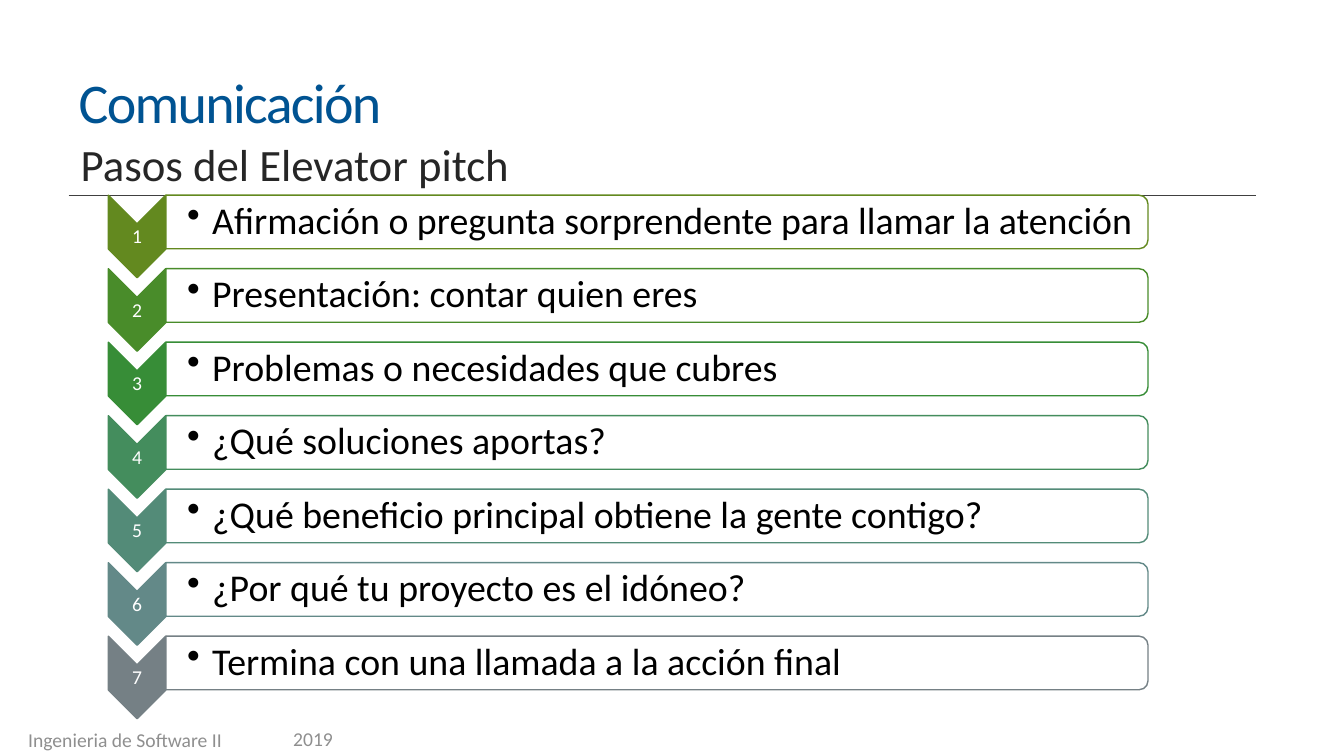
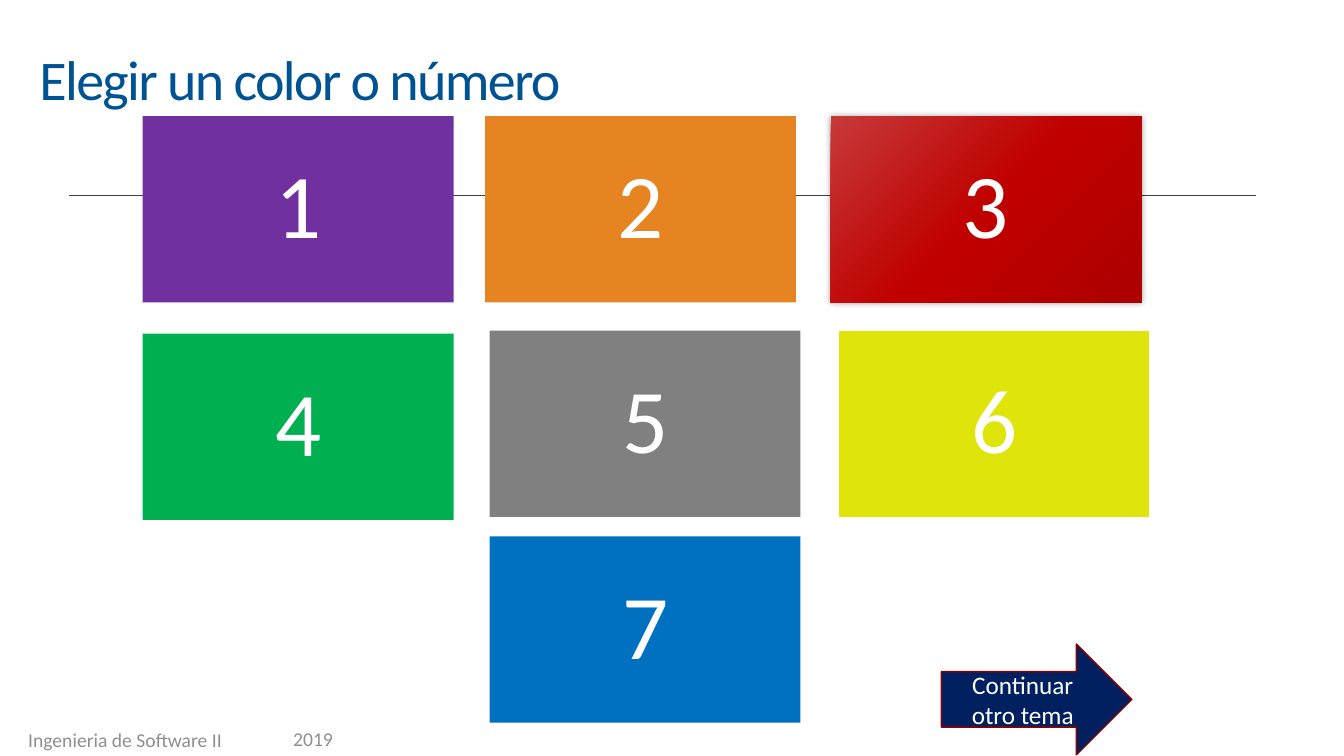
from copy import deepcopy

from pptx import Presentation
from pptx.dml.color import RGBColor
from pptx.enum import shapes, text
from pptx.oxml import ns, xmlchemy
from pptx.util import Pt

FONT = "Calibri"
WHITE = RGBColor(0xFF, 0xFF, 0xFF)
BLACK = RGBColor(0, 0, 0)
TITLE_BLUE = RGBColor(0x00, 0x53, 0x92)
DARK = RGBColor(0x26, 0x26, 0x26)
RULE_GRAY = RGBColor(0x40, 0x40, 0x40)
FOOTER_GRAY = RGBColor(0x8F, 0x8F, 0x8F)
PURPLE = RGBColor(0x70, 0x30, 0xA0)
ORANGE = RGBColor(0xE6, 0x84, 0x22)
RED = RGBColor(0xC0, 0x00, 0x00)
LIGHT_RED = RGBColor(0xC6, 0x39, 0x39)
DEEP_RED = RGBColor(0xAD, 0x00, 0x00)
GREEN = RGBColor(0x00, 0xB0, 0x50)
GRAY = RGBColor(0x80, 0x80, 0x80)
YELLOW = RGBColor(0xDF, 0xE4, 0x0A)
BLUE = RGBColor(0x00, 0x70, 0xC0)
NAVY = RGBColor(0x00, 0x20, 0x60)
MAROON = RGBColor(0x8E, 0x00, 0x00)

STEPS = [
    ("Afirmación o pregunta sorprendente para llamar la atención", RGBColor(0x63, 0x89, 0x1F)),
    ("Presentación: contar quien eres", RGBColor(0x49, 0x8C, 0x2A)),
    ("Problemas o necesidades que cubres", RGBColor(0x37, 0x8D, 0x37)),
    ("¿Qué soluciones aportas?", RGBColor(0x44, 0x8D, 0x5D)),
    ("¿Qué beneficio principal obtiene la gente contigo?", RGBColor(0x53, 0x8B, 0x78)),
    ("¿Por qué tu proyecto es el idóneo?", RGBColor(0x63, 0x89, 0x88)),
    ("Termina con una llamada a la acción final", RGBColor(0x75, 0x80, 0x85)),
]
STEP_TOP, STEP_PITCH = 139.4, 52.5

TILES = [
    (102, 83, PURPLE),
    (346.5, 83, ORANGE),
    (593.3, 83, RED),
    (102, 238.3, GREEN),
    (349.8, 236.2, GRAY),
    (599.2, 236.4, YELLOW),
    (349.8, 383.2, BLUE),
]


def place(shape, left, top, width, height):
    shape.left, shape.top, shape.width, shape.height = map(Pt, (left, top, width, height))


def append_xml(parent, tag, **attributes):
    child = xmlchemy.OxmlElement(tag)
    for name, value in attributes.items():
        child.set(name, str(value))
    parent.append(child)
    return child


def write(shape, words, size, color, align=text.PP_ALIGN.LEFT,
          anchor=text.MSO_ANCHOR.TOP, spacing=1.0, insets=(7.2, 3.6, 7.2, 3.6)):
    """Fill a shape with one formatted paragraph and return that paragraph."""
    frame = shape.text_frame
    frame.text = words
    frame.word_wrap = True
    frame.auto_size = text.MSO_AUTO_SIZE.NONE
    frame.vertical_anchor = anchor
    (frame.margin_left, frame.margin_top,
     frame.margin_right, frame.margin_bottom) = map(Pt, insets)
    para = frame.paragraphs[0]
    para.alignment = align
    para.line_spacing = spacing
    para.space_before = Pt(0)
    para.font.name, para.font.size = FONT, Pt(size)
    para.font.color.rgb = color
    return para


def set_bullet(para, indent=0, mark=None):
    properties = para._p.get_or_add_pPr()
    properties.set("marL", str(Pt(indent)))
    properties.set("indent", str(-Pt(indent)))
    if mark:
        append_xml(properties, "a:buChar", char=mark)
    else:
        append_xml(properties, "a:buNone")


def add_text(page, words, at, size, color, **style):
    box = page.shapes.add_textbox(*map(Pt, at))
    return write(box, words, size, color, **style)


def add_block(page, kind, at, fill, line=None, weight=1):
    block = page.shapes.add_shape(kind, *map(Pt, at))
    block.shadow.inherit = False
    block.fill.solid()
    block.fill.fore_color.rgb = fill
    if line is None:
        block.line.fill.background()
    else:
        block.line.color.rgb = line
        block.line.width = Pt(weight)
    return block


def add_turned_block(page, kind, at, fill, line):
    """Add a shape turned a quarter clockwise that covers the given area."""
    left, top, width, height = at
    shift = (width - height) / 2
    block = add_block(page, kind, (left + shift, top - shift, height, width), fill, line)
    block.rotation = 90
    return block


def add_page(deck, layout, title, left, top):
    """Add a slide with the shared title style, rule and footers."""
    page = deck.slides.add_slide(deck.slide_layouts[layout])
    rule = page.shapes.add_connector(
        shapes.MSO_CONNECTOR.STRAIGHT, Pt(49), Pt(139.5), Pt(897), Pt(139.5))
    rule.line.color.rgb = RULE_GRAY
    rule.line.width = Pt(0.75)
    append_xml(rule._element.spPr, "a:effectLst")
    add_text(page, "Ingenieria de Software II", (13, 516.2, 170, 17), 14, FOOTER_GRAY)
    add_text(page, "2019", (202.3, 515.5, 65, 20), 14, FOOTER_GRAY)
    heading = page.shapes.title
    place(heading, left, top, 851, 100)
    para = write(heading, title, 40, TITLE_BLUE,
                 anchor=text.MSO_ANCHOR.MIDDLE, spacing=0.85)
    para.runs[0].font._element.set("spc", "-120")
    return page


def add_step(page, number, words, color):
    top = STEP_TOP + (number - 1) * STEP_PITCH
    add_turned_block(page, shapes.MSO_SHAPE.CHEVRON, (77.4, top, 41, 59), color, color)
    add_text(page, str(number), (77.4, top + 21, 41, 18), 14, WHITE,
             align=text.PP_ALIGN.CENTER, anchor=text.MSO_ANCHOR.MIDDLE,
             spacing=0.9, insets=(0.7,) * 4)
    add_turned_block(page, shapes.MSO_SHAPE.ROUND_2_SAME_RECTANGLE,
                     (118.5, top, 701.5, 38.3), WHITE, color)
    para = add_text(page, words, (118.5, top + 1.8, 699.5, 34.6), 27, BLACK,
                    anchor=text.MSO_ANCHOR.MIDDLE, spacing=0.9,
                    insets=(15.1, 1.4, 1.4, 1.4))
    set_bullet(para, 18, "•")


def add_tile(page, number, left, top, color):
    line = WHITE if color == YELLOW else None
    tile = add_block(page, shapes.MSO_SHAPE.RECTANGLE, (left, top, 222, 133), color, line, 0.75)
    write(tile, str(number), 65, WHITE, align=text.PP_ALIGN.CENTER,
          anchor=text.MSO_ANCHOR.MIDDLE, spacing=0.9, insets=(19.5,) * 4)
    return tile


def highlight(tile):
    """Give a tile a diagonal red gradient and a soft shadow."""
    tile.fill.gradient()
    tile.fill.gradient_angle = 315
    properties = tile._element.spPr
    stop_list = properties.find(".//" + ns.qn("a:gsLst"))
    stop_list.append(deepcopy(stop_list[0]))
    colors = (LIGHT_RED, RED, DEEP_RED)
    for stop, position, color in zip(tile.fill.gradient_stops, (0, 0.5, 1), colors):
        stop.position = position
        stop.color.rgb = color
    effects = properties.find(ns.qn("a:effectLst"))
    shadow = append_xml(effects, "a:outerShdw", blurRad=Pt(5), dist=0, dir=0)
    shade = append_xml(shadow, "a:srgbClr", val=BLACK)
    append_xml(shade, "a:alpha", val=40000)


def build_pitch_page(deck):
    page = add_page(deck, 1, "Comunicación", 49, 26)
    subtitle = page.placeholders[1]
    place(subtitle, 50.4, 94.3, 771, 353)
    set_bullet(write(subtitle, "Pasos del Elevator pitch", 32, DARK))
    for number, (words, color) in enumerate(STEPS, 1):
        add_step(page, number, words, color)


def build_choice_page(deck):
    page = add_page(deck, 5, "Elegir un color o número", 21, 9.4)
    for number, (left, top, color) in enumerate(TILES, 1):
        tile = add_tile(page, number, left, top, color)
        if color == RED:
            highlight(tile)
    arrow = add_block(page, shapes.MSO_SHAPE.RIGHT_ARROW, (672.5, 460, 136, 79.2), NAVY, MAROON)
    write(arrow, "Continuar otro tema", 18, WHITE,
          align=text.PP_ALIGN.CENTER, anchor=text.MSO_ANCHOR.MIDDLE)


def main():
    deck = Presentation()
    deck.slide_width, deck.slide_height = Pt(960), Pt(540)
    build_pitch_page(deck)
    build_choice_page(deck)
    deck.save("out.pptx")


if __name__ == "__main__":
    main()
